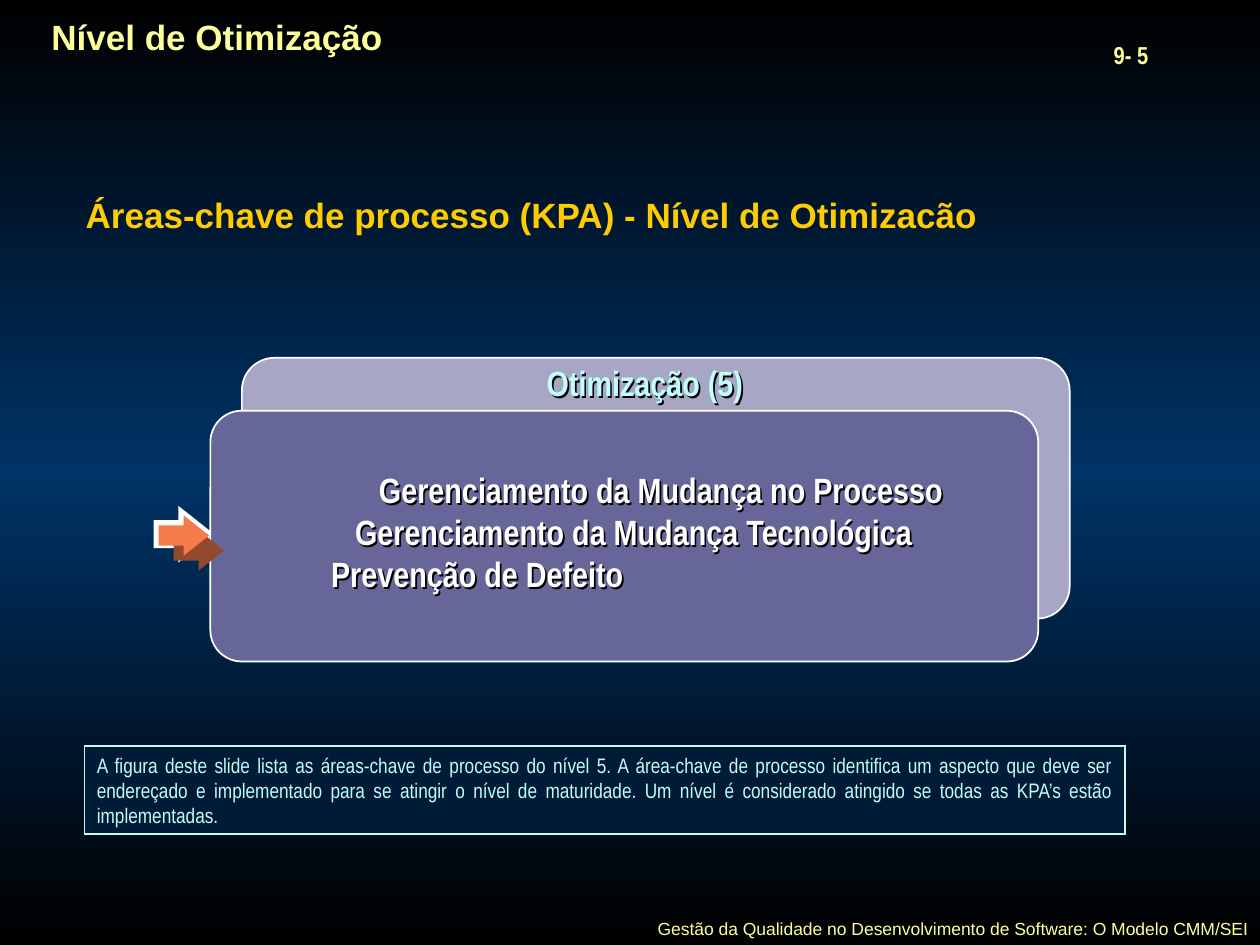
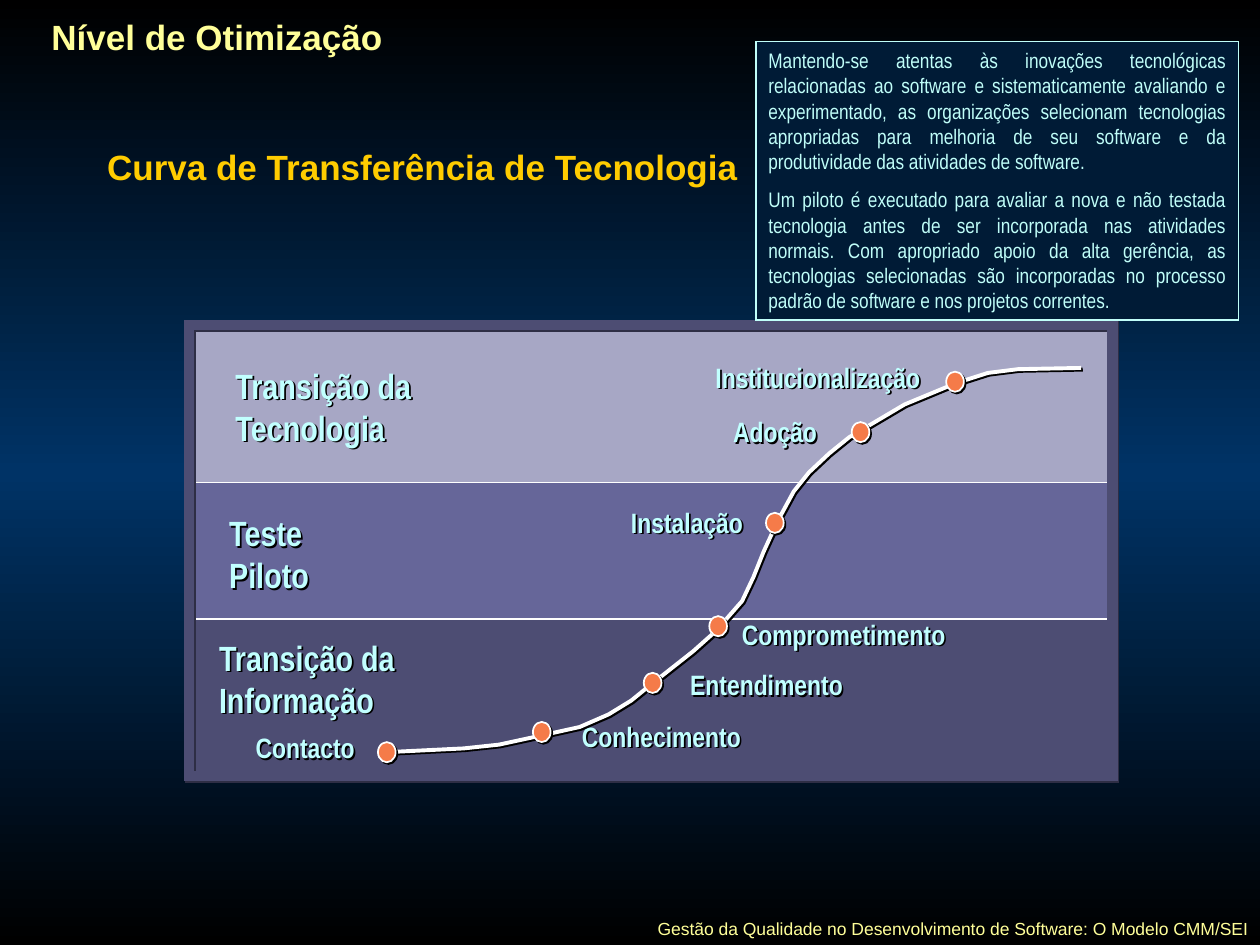
"""Build two slides on the optimizing level of the CMM model."""
from copy import deepcopy
from dataclasses import dataclass
from typing import Optional

from lxml import etree
from pptx import Presentation
from pptx.dml.color import RGBColor
from pptx.enum import shapes as kinds, text as txt
from pptx.oxml.ns import qn
from pptx.util import Inches, Pt

BLACK = RGBColor(0x00, 0x00, 0x00)
WHITE = RGBColor(0xFF, 0xFF, 0xFF)
NAVY = RGBColor(0x00, 0x33, 0x66)
NIGHT = RGBColor(0x00, 0x1B, 0x36)
CREAM = RGBColor(0xFF, 0xFF, 0x99)
GOLD = RGBColor(0xFF, 0xCC, 0x00)
AQUA = RGBColor(0xC1, 0xFF, 0xFF)
MINT = RGBColor(0xC0, 0xFE, 0xF9)
LILAC = RGBColor(0xA7, 0xA7, 0xC5)
VIOLET = RGBColor(0x66, 0x66, 0x99)
PLUM = RGBColor(0x4D, 0x4D, 0x73)
DUSK = RGBColor(0x2E, 0x2E, 0x45)
CORAL = RGBColor(0xF5, 0x7B, 0x49)
RUST = RGBColor(0x93, 0x4A, 0x2C)
SANS = "Arial"
NARROW = "Arial Narrow"
KIND = kinds.MSO_SHAPE


@dataclass(frozen=True)
class Box:
    """A place on the slide, in inches."""
    left: float
    top: float
    width: float
    height: float

    def emu(self) -> list:
        """Give the four lengths."""
        return [Inches(n) for n in (self.left, self.top, self.width, self.height)]


@dataclass(frozen=True)
class Font:
    """The look of a text."""
    size: float
    color: RGBColor
    name: str = NARROW
    bold: bool = True
    shade: bool = False


@dataclass(frozen=True)
class Label:
    """A text and its place."""
    text: str
    box: Box
    font: Font


@dataclass(frozen=True)
class Look:
    """Fill, line and shadow of a shape."""
    fill: Optional[RGBColor] = None
    line: Optional[RGBColor] = None
    width: float = 1
    shade: Optional[RGBColor] = None
    dist: float = 1.4


@dataclass(frozen=True)
class Stage:
    """A named stage on the curve: label place and dot corner."""
    name: str
    left: float
    top: float
    width: float
    dot_x: float
    dot_y: float


HEAD = Font(20, GOLD, SANS)
NOTE = Font(12, MINT, bold=False)
BIG = Font(20, AQUA, shade=True)
SMALL = Font(16, AQUA, shade=True)
DOT = Look(CORAL, WHITE, shade=BLACK)

SHARED = [
    Label("Nível de Otimização", Box(0.31, 0.07, 2.83, 0.43), Font(20, CREAM, SANS)),
    Label("Gestão da Qualidade no Desenvolvimento de Software: O Modelo CMM/SEI",
          Box(5.12, 7.24, 4.88, 0.26), Font(10, CREAM, SANS, False)),
]
AREAS = ["Gerenciamento da Mudança no Processo",
         "Gerenciamento da Mudança Tecnológica",
         "Prevenção de Defeito"]
BANDS = [(2.63, 1.2, LILAC), (3.83, 1.08, VIOLET), (4.91, 1.25, PLUM)]
PHASES = [
    Label("Transição da\nInformação", Box(1.64, 5, 1.7, 0.76), BIG),
    Label("Teste\nPiloto", Box(1.72, 4.01, 0.95, 0.76), BIG),
    Label("Transição da\nTecnologia", Box(1.77, 2.84, 1.7, 0.76), BIG),
]
STAGES = [
    Stage("Contacto", 1.93, 5.75, 1.1, 3, 5.89),
    Stage("Conhecimento", 4.52, 5.66, 1.6, 4.23, 5.73),
    Stage("Entendimento", 5.38, 5.25, 1.5, 5.11, 5.34),
    Stage("Comprometimento", 5.79, 4.85, 1.9, 5.63, 4.89),
    Stage("Instalação", 4.91, 3.96, 1.2, 6.08, 4.07),
    Stage("Adoção", 5.72, 3.24, 1, 6.76, 3.35),
    Stage("Institucionalização", 5.58, 2.81, 1.9, 7.51, 2.95),
]
CURVE = [(3.06, 5.97), (3.68, 5.94), (3.96, 5.91), (4.33, 5.83), (4.6, 5.77),
         (4.83, 5.67), (5.01, 5.56), (5.17, 5.43), (5.5, 5.17), (5.68, 5.01),
         (5.89, 4.77), (5.98, 4.58), (6.06, 4.38), (6.17, 4.14), (6.3, 3.9),
         (6.42, 3.75), (6.58, 3.6), (6.74, 3.47), (7.18, 3.21), (7.59, 3.04),
         (7.84, 2.96), (8.08, 2.93), (8.58, 2.92)]
AREA_NOTE = (
    "A figura deste slide lista as áreas-chave de processo do nível 5. A área-chave "
    "de processo identifica um aspecto que deve ser endereçado e implementado para se "
    "atingir o nível de maturidade. Um nível é considerado atingido se todas as KPA’s "
    "estão implementadas.")
CURVE_NOTE = (
    "Mantendo-se atentas às inovações tecnológicas relacionadas ao software e "
    "sistematicamente avaliando e experimentado, as organizações selecionam tecnologias "
    "apropriadas para melhoria de seu software e da produtividade das atividades de "
    "software.\n"
    "Um piloto é executado para avaliar a nova e não testada tecnologia antes de ser "
    "incorporada nas atividades normais. Com apropriado apoio da alta gerência, as "
    "tecnologias selecionadas são incorporadas no processo padrão de software e nos "
    "projetos correntes.")


def cast(shape, color: RGBColor, dist: float) -> None:
    """Give a shape a hard diagonal shadow."""
    shape.shadow.inherit = False
    effects = shape.element.spPr.find(qn("a:effectLst"))
    drop = etree.SubElement(effects, qn("a:outerShdw"), blurRad="0",
                            dist=str(Pt(dist)), dir="2700000", algn="ctr", rotWithShape="0")
    etree.SubElement(drop, qn("a:srgbClr"), val=str(color))


def write(shape, words: str, font: Font, align=txt.PP_ALIGN.LEFT) -> None:
    """Fill a shape with formatted text."""
    frame = shape.text_frame
    frame.text = words
    for para in frame.paragraphs:
        para.alignment = align
        for run in para.runs:
            run.font.size = Pt(font.size)
            run.font.name = font.name
            run.font.bold = font.bold
            run.font.color.rgb = font.color


def label(slide, item: Label):
    """Draw a text box whose lines stay whole."""
    shape = slide.shapes.add_textbox(*item.box.emu())
    shape.text_frame.word_wrap = True
    shape.text_frame.auto_size = txt.MSO_AUTO_SIZE.NONE
    write(shape, item.text, item.font)
    if item.font.shade:
        cast(shape, BLACK, 1.4)
    return shape


def dress(shape, look: Look) -> None:
    """Apply a look to a shape."""
    if look.fill is None:
        shape.fill.background()
    else:
        shape.fill.solid()
        shape.fill.fore_color.rgb = look.fill
    if look.line is None:
        shape.line.fill.background()
    else:
        shape.line.color.rgb = look.line
        shape.line.width = Pt(look.width)
        etree.SubElement(shape.element.spPr.find(qn("a:ln")), qn("a:miter"), lim="800000")
    shape.shadow.inherit = False
    if look.shade is not None:
        cast(shape, look.shade, look.dist)


def draw(slide, kind, box: Box, look: Look, *adjust: float):
    """Draw a preset shape."""
    shape = slide.shapes.add_shape(kind, *box.emu())
    for i, value in enumerate(adjust):
        shape.adjustments[i] = value
    dress(shape, look)
    return shape


def note(slide, words: str, box: Box, gap: float = 0) -> None:
    """Draw a framed, justified note."""
    shape = draw(slide, KIND.RECTANGLE, box, Look(NIGHT, MINT))
    shape.text_frame.word_wrap = True
    shape.text_frame.vertical_anchor = txt.MSO_ANCHOR.TOP
    write(shape, words, NOTE, txt.PP_ALIGN.JUSTIFY)
    for para in shape.text_frame.paragraphs[1:]:
        para.space_before = Pt(gap)


def start(deck, title: str, box: Box):
    """Add a slide with its title and the shared texts."""
    slide = deck.slides.add_slide(deck.slide_layouts[5])
    head = slide.shapes.title
    head.left, head.top, head.width, head.height = box.emu()
    head.text_frame.vertical_anchor = txt.MSO_ANCHOR.BOTTOM
    head.text_frame.auto_size = txt.MSO_AUTO_SIZE.NONE
    write(head, title, HEAD)
    for item in SHARED:
        shape = label(slide, item)
        shape.text_frame.word_wrap = False
        shape.text_frame.auto_size = txt.MSO_AUTO_SIZE.SHAPE_TO_FIT_TEXT
    return slide


def paint(deck) -> None:
    """Give the master a black, navy and black gradient."""
    master = deck.slide_master
    fill = master.background.fill
    fill.gradient()
    fill.gradient_angle = 270
    stops = next(master.element.iter(qn("a:gsLst")))
    stops.append(deepcopy(stops[0]))
    for stop, place, color in zip(fill.gradient_stops, (0, 0.5, 1), (BLACK, NAVY, BLACK)):
        stop.position = place
        stop.color.rgb = color


def areas(deck) -> None:
    """Build the slide of key process areas."""
    slide = start(deck, "Áreas-chave de processo (KPA) - Nível de Otimizacão",
                  Box(0.58, 0.75, 8.5, 1.17))
    label(slide, Label("9- 5", Box(8.74, 0.27, 1.16, 0.33), Font(14, CREAM)))
    draw(slide, KIND.RIGHT_ARROW, Box(1.25, 4.08, 0.4, 0.32),
         Look(CORAL, WHITE, 4.5), 0.5, 0.63)
    for box, fill in ((Box(1.92, 2.84, 6.57, 2.07), LILAC),
                      (Box(1.67, 3.26, 6.57, 1.99), VIOLET)):
        draw(slide, KIND.ROUNDED_RECTANGLE, box, Look(fill, WHITE), 0.125)
    label(slide, Label("Otimização (5)", Box(4.24, 2.82, 1.9, 0.43),
                       Font(20, MINT, shade=True)))
    draw(slide, KIND.RIGHT_ARROW, Box(1.26, 4.09, 0.4, 0.32),
         Look(CORAL, shade=RUST, dist=12.1), 0.5, 0.63)
    group = label(slide, Label("\n".join(AREAS), Box(2.41, 3.67, 5.4, 1.1),
                               Font(20, WHITE, shade=True)))
    for i, props in enumerate(group.element.iter(qn("a:pPr"))):
        props.set("marL", str(Inches(0.5 - 0.19 * i)))
    note(slide, AREA_NOTE, Box(0.67, 5.92, 8.26, 0.7))


def curve(deck) -> None:
    """Build the slide of the technology transfer curve."""
    slide = start(deck, "Curva de Transferência de Tecnologia", Box(0.75, 0.79, 8.5, 0.75))
    for top, height, fill in BANDS:
        draw(slide, KIND.RECTANGLE, Box(1.5, top, 7.33, height), Look(fill, WHITE))
    for item in PHASES:
        label(slide, item)
    for stage in STAGES:
        label(slide, Label(stage.name, Box(stage.left, stage.top, stage.width, 0.36), SMALL))
    draw(slide, KIND.RECTANGLE, Box(1.5, 2.58, 7.33, 3.58), Look(None, PLUM, 6, DUSK))
    first, *rest = [(Inches(x), Inches(y)) for x, y in CURVE]
    pen = slide.shapes.build_freeform(*first)
    pen.add_line_segments(rest, close=False)
    dress(pen.convert_to_shape(), Look(None, WHITE, 2.25, BLACK))
    for stage in STAGES:
        draw(slide, KIND.OVAL, Box(stage.dot_x, stage.dot_y, 0.14, 0.16), DOT)
    note(slide, CURVE_NOTE, Box(6, 0.33, 3.83, 2.21), 7.5)


def main() -> None:
    """Build and save the deck."""
    deck = Presentation()
    deck.slide_width, deck.slide_height = Inches(10), Inches(7.5)
    paint(deck)
    areas(deck)
    curve(deck)
    deck.save("out.pptx")


if __name__ == "__main__":
    main()
